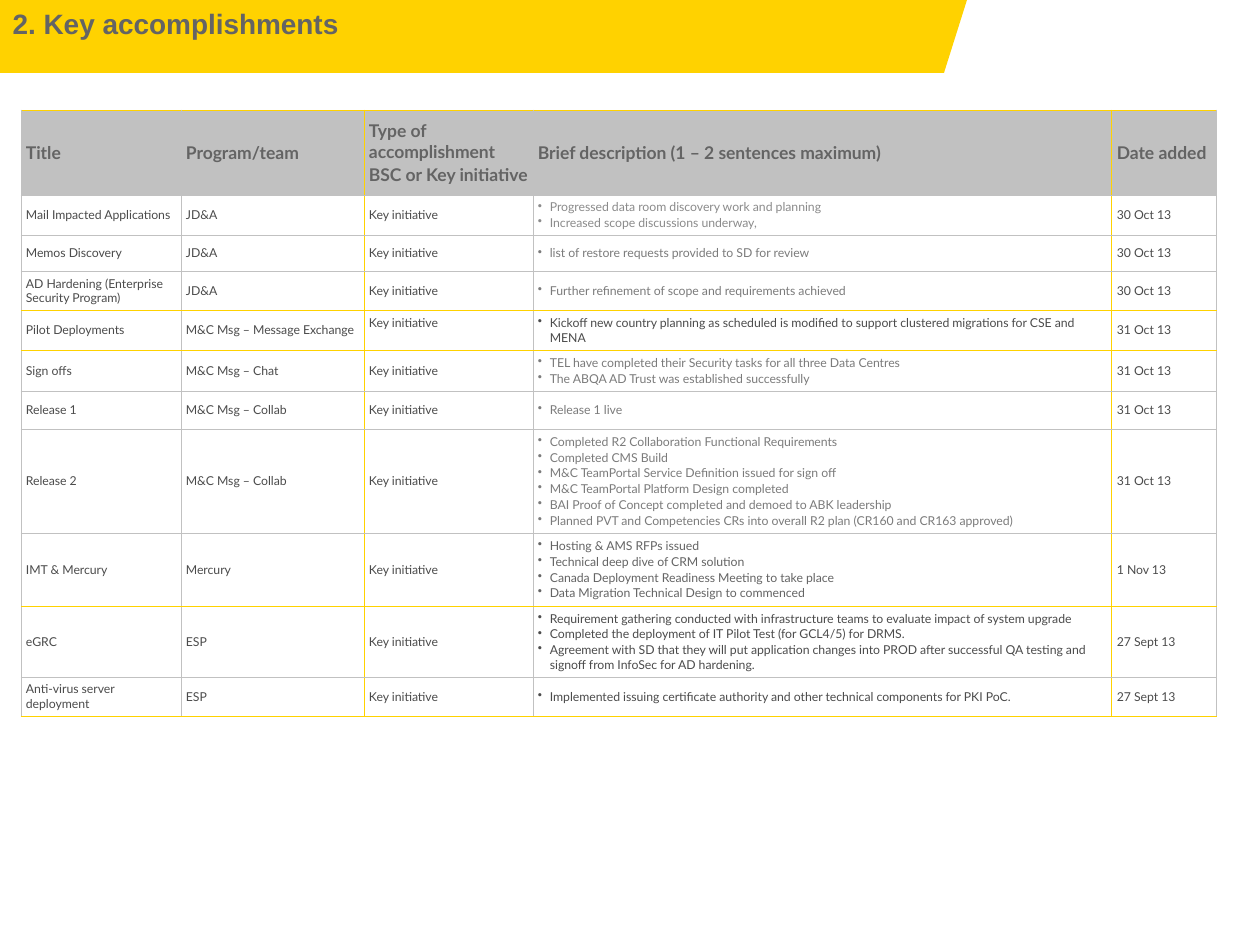
from dataclasses import dataclass

from lxml import etree
from pptx import Presentation
from pptx.dml.color import RGBColor
from pptx.enum.text import MSO_ANCHOR, MSO_AUTO_SIZE, PP_ALIGN
from pptx.oxml.ns import qn
from pptx.util import Emu, Pt

TOP, MIDDLE = MSO_ANCHOR.TOP, MSO_ANCHOR.MIDDLE
LEFT = PP_ALIGN.LEFT
NO_AUTOSIZE = MSO_AUTO_SIZE.NONE
SCALE = 914400 / 126


@dataclass(frozen=True)
class Theme:
    yellow: str = "FFD200"
    grey: str = "C1C1C1"
    white: str = "FFFFFF"
    heading: str = "646464"
    body: str = "4B4B4B"
    muted: str = "7B7B7B"
    pale: str = "8B8B8B"
    title_font: str = "Arial"
    table_font: str = "Lato"
    title_size: int = 16
    header_size: int = 10
    body_size: int = 7
    border: float = 0.5


THEME = Theme()

TITLE = "2. Key accomplishments"
BAND = [(967, 0), (944, 73), (0, 73), (0, 0)]
KIND = "Key initiative"
HEADERS = [
    ["Title"],
    ["Program/team"],
    ["Type of accomplishment", "BSC or Key initiative"],
    ["Brief description (1 – 2 sentences maximum)"],
    ["Date added"],
]
ROWS = [
    ("Mail Impacted Applications", "JD&A", "30 Oct 13", THEME.pale, [
        "Progressed data room discovery work and planning",
        "Increased scope discussions underway,"]),
    ("Memos Discovery", "JD&A", "30 Oct 13", THEME.muted, [
        "list of restore requests provided to SD for review"]),
    ("AD Hardening (Enterprise Security Program)", "JD&A", "30 Oct 13", THEME.muted, [
        "Further refinement of scope and requirements achieved"]),
    ("Pilot Deployments", "M&C Msg – Message Exchange", "31 Oct 13", THEME.body, [
        "Kickoff new country planning as scheduled is modified to support "
        "clustered migrations for CSE and MENA"]),
    ("Sign offs", "M&C Msg – Chat", "31 Oct 13", THEME.muted, [
        "TEL have completed their Security tasks for all three Data Centres",
        "The ABQA AD Trust was established successfully"]),
    ("Release 1", "M&C Msg – Collab", "31 Oct 13", THEME.muted, [
        "Release 1 live"]),
    ("Release 2", "M&C Msg – Collab", "31 Oct 13", THEME.muted, [
        "Completed R2 Collaboration Functional Requirements",
        "Completed CMS Build",
        "M&C TeamPortal Service Definition issued for sign off",
        "M&C TeamPortal Platform Design completed",
        "BAI Proof of Concept completed and demoed to ABK leadership",
        "Planned PVT and Competencies CRs into overall R2 plan (CR160 and CR163 approved)"]),
    ("IMT & Mercury", "Mercury", "1 Nov 13", THEME.heading, [
        "Hosting & AMS RFPs issued",
        "Technical deep dive of CRM solution",
        "Canada Deployment Readiness Meeting to take place",
        "Data Migration Technical Design to commenced"]),
    ("eGRC", "ESP", "27 Sept 13", THEME.body, [
        "Requirement gathering conducted with infrastructure teams to evaluate "
        "impact of system upgrade",
        "Completed the deployment of IT Pilot Test (for GCL4/5) for DRMS.",
        "Agreement with SD that they will put application changes into PROD after "
        "successful QA testing and signoff from InfoSec for AD hardening."]),
    ("Anti-virus server deployment", "ESP", "27 Sept 13", THEME.body, [
        "Implemented issuing certificate authority and other technical "
        "components for PKI PoC."]),
]
TABLE_LEFT, TABLE_TOP = 21, 110
COLUMN_WIDTHS = [160, 183, 169, 579, 105]
ROW_HEIGHTS = [85, 40, 36, 39, 40, 41, 38, 104, 73, 71, 39]
YELLOW_COLUMN_LINES = {2, 4}
YELLOW_ROW_LINES = {0, 4, 5, 9, 11}
DESCRIPTION_COLUMN = 3
TOP_CELL = (4, 2)
CELL_INSET = 5
BULLET_INDENT = 12


def px(value):
    return Emu(round(value * SCALE))


def color(value):
    return RGBColor.from_string(value)


def write(frame, lines, *, font, size, ink, bold=False, bullet=False, after=0):
    for index, line in enumerate(lines):
        para = frame.paragraphs[0] if index == 0 else frame.add_paragraph()
        para.alignment = LEFT
        if bullet:
            properties = para._p.get_or_add_pPr()
            properties.set("marL", str(px(BULLET_INDENT)))
            properties.set("indent", str(-px(BULLET_INDENT)))
            etree.SubElement(properties, qn("a:buChar"), char="•")
        para.space_before = Pt(0)
        para.space_after = Pt(after)
        span = para.add_run()
        span.text = line
        span.font.name = font
        span.font.size = Pt(size)
        span.font.bold = bold
        span.font.color.rgb = color(ink)


def draw_borders(cell, row, column):
    edges = [
        ("a:lnL", column in YELLOW_COLUMN_LINES),
        ("a:lnR", column + 1 in YELLOW_COLUMN_LINES),
        ("a:lnT", row in YELLOW_ROW_LINES),
        ("a:lnB", row + 1 in YELLOW_ROW_LINES),
    ]
    properties = cell._tc.get_or_add_tcPr()
    for index, (tag, is_yellow) in enumerate(edges):
        line = etree.Element(qn(tag), w=str(Pt(THEME.border)))
        fill = etree.SubElement(line, qn("a:solidFill"))
        etree.SubElement(fill, qn("a:srgbClr"), val=THEME.yellow if is_yellow else THEME.grey)
        properties.insert(index, line)


def fill_cell(cell, row, column, lines, ink):
    header = row == 0
    size = THEME.header_size if header else THEME.body_size
    cell.fill.solid()
    cell.fill.fore_color.rgb = color(THEME.grey if header else THEME.white)
    cell.vertical_anchor = TOP if (row, column) == TOP_CELL else MIDDLE
    cell.margin_left = cell.margin_right = px(CELL_INSET)
    cell.margin_top = cell.margin_bottom = px(CELL_INSET)
    write(cell.text_frame, lines, font=THEME.table_font, size=size, ink=ink, bold=header,
          bullet=not header and column == DESCRIPTION_COLUMN, after=size / 10)
    draw_borders(cell, row, column)


def add_band(page):
    builder = page.shapes.build_freeform(*BAND[0], scale=SCALE)
    builder.add_line_segments(BAND[1:], close=True)
    band = builder.convert_to_shape()
    band.shadow.inherit = False
    band.fill.solid()
    band.fill.fore_color.rgb = color(THEME.yellow)
    band.line.fill.background()
    page.shapes._spTree.insert(2, band._element)


def add_title(page):
    box = page.shapes.title
    box.left, box.top, box.width, box.height = px(0), px(0), px(1065), px(136)
    frame = box.text_frame
    frame.word_wrap = True
    frame.auto_size = NO_AUTOSIZE
    frame.vertical_anchor = TOP
    write(frame, [TITLE], font=THEME.title_font, size=THEME.title_size,
          ink=THEME.heading, bold=True)


def add_accomplishments(page):
    table = page.shapes.add_table(
        len(ROW_HEIGHTS), len(COLUMN_WIDTHS), px(TABLE_LEFT), px(TABLE_TOP),
        px(sum(COLUMN_WIDTHS)), px(sum(ROW_HEIGHTS))).table
    table.first_row = table.horz_banding = False
    for column, width in zip(table.columns, COLUMN_WIDTHS):
        column.width = px(width)
    for row, height in zip(table.rows, ROW_HEIGHTS):
        row.height = px(height)
    for column, lines in enumerate(HEADERS):
        fill_cell(table.cell(0, column), 0, column, lines, THEME.heading)
    for row, (name, team, date, ink, points) in enumerate(ROWS, start=1):
        for column, lines in enumerate([[name], [team], [KIND], points, [date]]):
            shade = ink if column == DESCRIPTION_COLUMN else THEME.body
            fill_cell(table.cell(row, column), row, column, lines, shade)


def main():
    deck = Presentation()
    deck.slide_width, deck.slide_height = px(1260), px(945)
    page = deck.slides.add_slide(deck.slide_layouts[5])
    add_band(page)
    add_title(page)
    add_accomplishments(page)
    deck.save("out.pptx")


if __name__ == "__main__":
    main()
